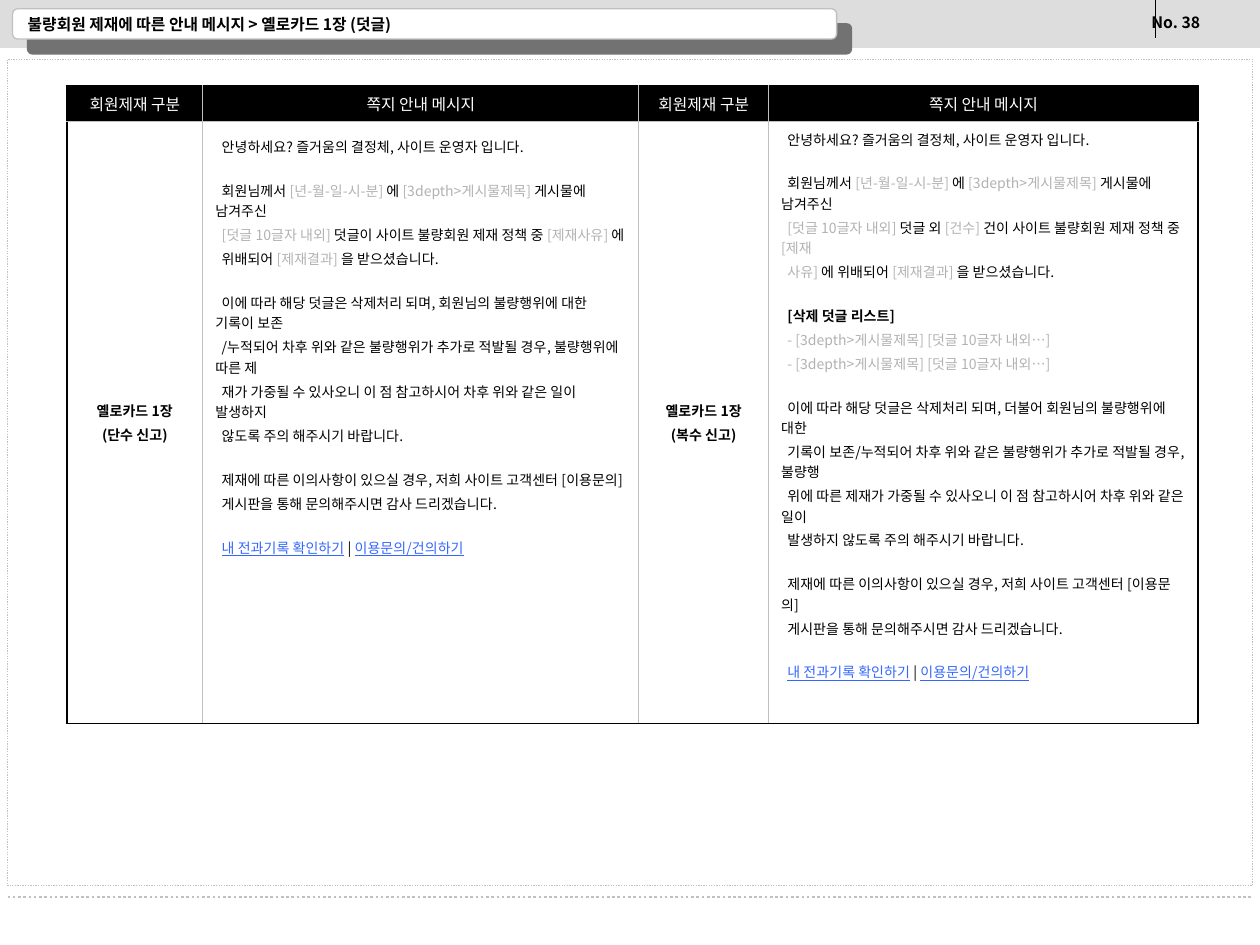
from dataclasses import dataclass

from lxml.etree import SubElement
from pptx import Presentation
from pptx.dml.color import RGBColor
from pptx.enum.dml import MSO_LINE_DASH_STYLE as Dash
from pptx.enum.shapes import MSO_CONNECTOR, MSO_SHAPE
from pptx.enum.text import MSO_ANCHOR as Anchor, MSO_AUTO_SIZE as AutoSize, PP_ALIGN as Align
from pptx.oxml.ns import qn
from pptx.util import Inches, Pt


@dataclass(frozen=True)
class Theme:
    font: str = "Noto Sans CJK KR"
    ink: str = "000000"
    paper: str = "FFFFFF"
    band: str = "DDDDDD"
    rule: str = "C0C0C0"
    shade: str = "727272"
    muted: str = "B2B2B2"
    link: str = "3366FF"
    heading: float = 9
    body: float = 8
    line_gap: float = 2
    section_gap: float = 13.4
    thin: float = 0.45
    thick: float = 1.08


THEME = Theme()

# Content: a message is a list of sections, a section a list of lines,
# a line a list of (text, format) spans
TITLE = "불량회원 제재에 따른 안내 메시지 > 옐로카드 1장 (덧글)"
PAGE = "No. 38"
HEADERS = ["회원제재 구분", "쪽지 안내 메시지"] * 2

PLAIN = {}
FIELD = {"color": THEME.muted}
LINK = {"color": THEME.link, "underline": True}
BOLD = {"bold": True}


def plain(*lines):
    return [[(line, PLAIN)] for line in lines]


GREETING = plain("안녕하세요? 즐거움의 결정체, 사이트 운영자 입니다.")
POST = [("회원님께서 ", PLAIN), ("[년-월-일-시-분] ", FIELD), ("에 ", PLAIN),
        ("[3depth>게시물제목] ", FIELD), ("게시물에 남겨주신", PLAIN)]
RESULT = [("[제재결과] ", FIELD), ("을 받으셨습니다.", PLAIN)]
COMMENT = ("[덧글 10글자 내외] ", FIELD)
DELETED = [("- [3depth>게시물제목] [덧글 10글자 내외…]", FIELD)]
APPEAL = plain("제재에 따른 이의사항이 있으실 경우, 저희 사이트 고객센터 [이용문의]",
               "게시판을 통해 문의해주시면 감사 드리겠습니다.")
LINKS = [[("내 전과기록 확인하기", LINK), (" | ", PLAIN), ("이용문의/건의하기", LINK)]]

SINGLE = [
    GREETING,
    [POST,
     [COMMENT, ("덧글이 사이트 불량회원 제재 정책 중 ", PLAIN), ("[제재사유] ", FIELD), ("에", PLAIN)],
     [("위배되어 ", PLAIN), *RESULT]],
    plain("이에 따라 해당 덧글은 삭제처리 되며, 회원님의 불량행위에 대한 기록이 보존",
          "/누적되어 차후 위와 같은 불량행위가 추가로 적발될 경우, 불량행위에 따른 제",
          "재가 가중될 수 있사오니 이 점 참고하시어 차후 위와 같은 일이 발생하지",
          "않도록 주의 해주시기 바랍니다."),
    APPEAL,
    LINKS,
]
MULTIPLE = [
    GREETING,
    [POST,
     [COMMENT, ("덧글 외 ", PLAIN), ("[건수] ", FIELD),
      ("건이 사이트 불량회원 제재 정책 중 ", PLAIN), ("[제재", FIELD)],
     [("사유] ", FIELD), ("에 위배되어 ", PLAIN), *RESULT]],
    [[("[삭제 덧글 리스트]", BOLD)], DELETED, DELETED],
    plain("이에 따라 해당 덧글은 삭제처리 되며, 더불어 회원님의 불량행위에 대한",
          "기록이 보존/누적되어 차후 위와 같은 불량행위가 추가로 적발될 경우, 불량행",
          "위에 따른 제재가 가중될 수 있사오니 이 점 참고하시어 차후 위와 같은 일이",
          "발생하지 않도록 주의 해주시기 바랍니다."),
    APPEAL,
    LINKS,
]
# (label lines, message, top margin of the message)
CARDS = [
    (["옐로카드 1장", "(단수 신고)"], SINGLE, 0.12),
    (["옐로카드 1장", "(복수 신고)"], MULTIPLE, 0.06),
]

# Layout in inches
WIDTH, HEIGHT = 10, 7.5
EDGE = 0.06
TABLE_AT = (0.53, 0.68)
COLUMNS = [1.08, 3.46, 1.03, 3.41]
ROWS = [0.28, 4.78]


def rgb(color):
    return RGBColor.from_string(color)


def add_text(para, text, *, size=THEME.body, color=THEME.ink, bold=False, underline=False):
    span = para.add_run()
    span.text = text
    font = span.font
    font.size, font.bold, font.underline = Pt(size), bold, underline
    font.color.rgb = rgb(color)
    font.name = THEME.font
    SubElement(font._element, qn("a:ea"), typeface=THEME.font)


def add_box(page, kind, at, fill, line=None, dash=None):
    box = page.shapes.add_shape(kind, *map(Inches, at))
    box.shadow.inherit = False
    box.fill.solid()
    box.fill.fore_color.rgb = rgb(fill)
    if line:
        box.line.color.rgb = rgb(line)
        box.line.width = Pt(0.75)
        box.line.dash_style = dash
    else:
        box.line.fill.background()
    return box


def add_rule(page, start, end, color, width, dash=None):
    rule = page.shapes.add_connector(MSO_CONNECTOR.STRAIGHT, *map(Inches, start + end))
    rule.line.color.rgb = rgb(color)
    rule.line.width = Pt(width)
    rule.line.dash_style = dash
    SubElement(rule._element.spPr, qn("a:effectLst"))


def format_cell(cell, fill, outer):
    """Draw black lines on the outer sides, grey ones inside, then fill."""
    props = cell._tc.get_or_add_tcPr()
    for side in "LRTB":
        color, width = (THEME.ink, THEME.thick) if side in outer else (THEME.rule, THEME.thin)
        line = SubElement(props, qn(f"a:ln{side}"), w=str(Pt(width)))
        SubElement(SubElement(line, qn("a:solidFill")), qn("a:srgbClr"), val=color)
    cell.fill.solid()
    cell.fill.fore_color.rgb = rgb(fill)
    cell.vertical_anchor = Anchor.MIDDLE


def write_lines(cell, lines, **style):
    for index, line in enumerate(lines):
        para = cell.text_frame.add_paragraph() if index else cell.text_frame.paragraphs[0]
        para.alignment = Align.CENTER
        para.space_before = Pt(THEME.line_gap)
        add_text(para, line, **style)


def write_message(cell, sections, top):
    cell.vertical_anchor = Anchor.TOP
    cell.margin_top = Inches(top)
    para = None
    for section in sections:
        for index, line in enumerate(section):
            gap = THEME.line_gap if index else THEME.section_gap
            if para is None:
                para, gap = cell.text_frame.paragraphs[0], 0
            else:
                para = cell.text_frame.add_paragraph()
            para.space_before = Pt(gap)
            para._p.get_or_add_pPr().set("indent", str(Inches(0.05)))
            for text, style in line:
                add_text(para, text, **style)


def add_header(page):
    add_box(page, MSO_SHAPE.RECTANGLE, (0, 0, WIDTH, 0.38), THEME.band)
    add_rule(page, (9.17, 0), (9.17, 0.3), THEME.ink, 0.75)
    number = page.shapes.add_textbox(*map(Inches, (9.04, 0.05, 0.9, 0.28))).text_frame
    number.word_wrap = False
    add_text(number.paragraphs[0], PAGE, size=THEME.heading, bold=True)

    bar = add_box(page, MSO_SHAPE.ROUNDED_RECTANGLE, (0.1, 0.07, 6.54, 0.24), THEME.paper, THEME.rule)
    effects = bar._element.spPr.find(qn("a:effectLst"))
    shadow = SubElement(effects, qn("a:outerShdw"), dist=str(Pt(12.1)), dir="2700000",
                        algn="ctr", rotWithShape="0")
    SubElement(shadow, qn("a:srgbClr"), val=THEME.shade)

    title = page.shapes.title
    title.left, title.top, title.width, title.height = map(Inches, (0.12, 0.1, 5.42, 0.18))
    frame = title.text_frame
    frame.auto_size, frame.word_wrap = AutoSize.NONE, True
    frame.vertical_anchor = Anchor.MIDDLE
    frame.paragraphs[0].alignment = Align.LEFT
    add_text(frame.paragraphs[0], TITLE, size=THEME.heading, bold=True)
    bar._element.addnext(title._element)  # in front of its bar


def add_message_table(page):
    size = (sum(COLUMNS), sum(ROWS))
    table = page.shapes.add_table(len(ROWS), len(COLUMNS), *map(Inches, TABLE_AT + size)).table
    table.first_row = table.horz_banding = False
    for column, width in zip(table.columns, COLUMNS):
        column.width = Inches(width)
    for row, height in zip(table.rows, ROWS):
        row.height = Inches(height)

    sides = ["L"] + [""] * (len(COLUMNS) - 2) + ["R"]
    for index, (header, side) in enumerate(zip(HEADERS, sides)):
        format_cell(table.cell(0, index), THEME.ink, side + "T")
        format_cell(table.cell(1, index), THEME.paper, side + "B")
        write_lines(table.cell(0, index), [header], size=THEME.heading, color=THEME.paper)
    for index, (label, message, top) in enumerate(CARDS):
        write_lines(table.cell(1, 2 * index), label, bold=True)
        write_message(table.cell(1, 2 * index + 1), message, top)


def main():
    deck = Presentation()
    deck.slide_width, deck.slide_height = Inches(WIDTH), Inches(HEIGHT)
    page = deck.slides.add_slide(deck.slide_layouts[5])
    add_header(page)
    # Content frame and footer rule
    add_box(page, MSO_SHAPE.RECTANGLE, (EDGE, 0.47, WIDTH - 2 * EDGE, 6.56),
            THEME.paper, THEME.rule, Dash.ROUND_DOT)
    add_rule(page, (EDGE, 7.12), (WIDTH - EDGE, 7.12), THEME.rule, 1.5, Dash.ROUND_DOT)
    add_message_table(page)
    deck.save("out.pptx")


if __name__ == "__main__":
    main()
